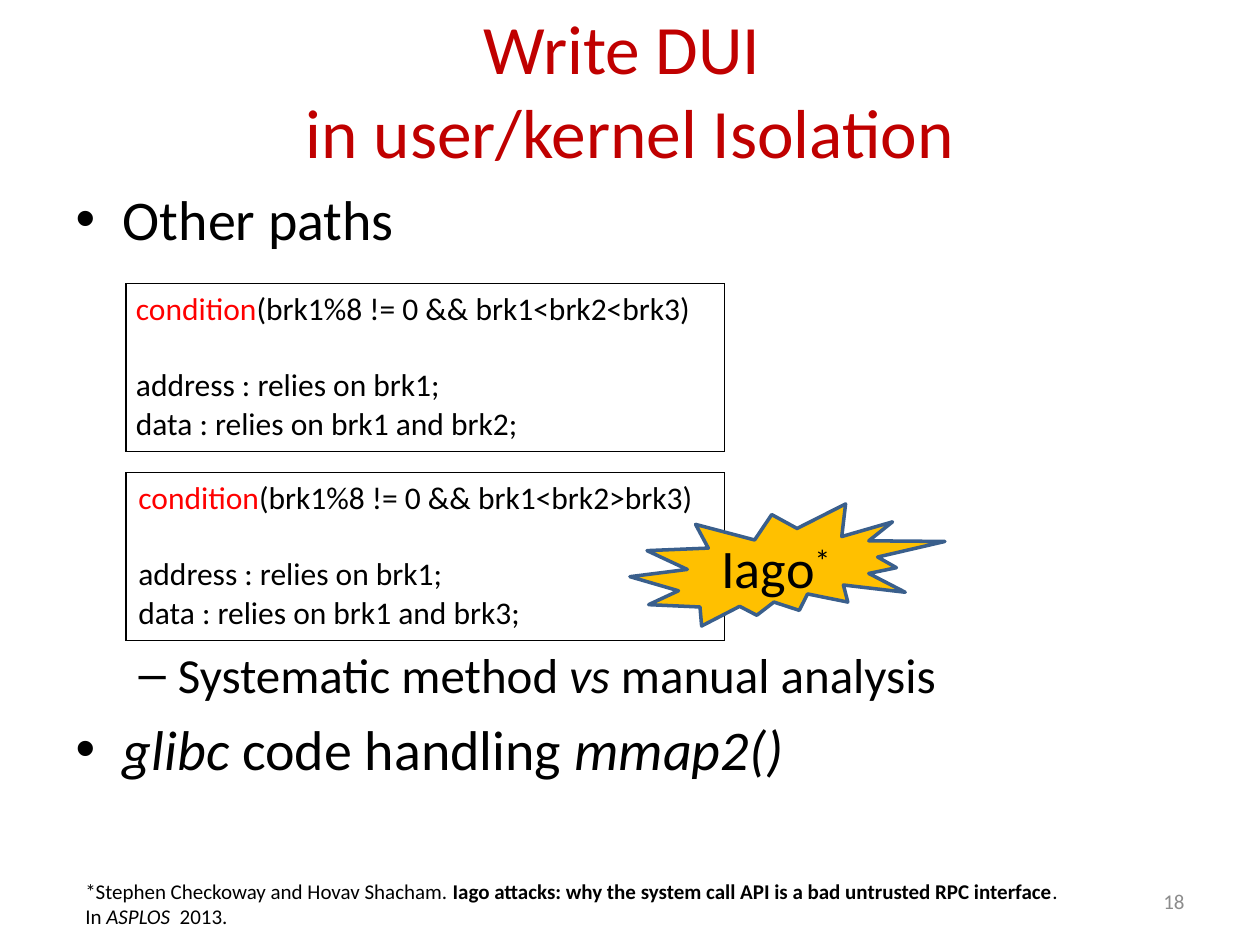
from lxml.etree import SubElement
from pptx import Presentation
from pptx.dml.color import RGBColor
from pptx.enum.shapes import MSO_SHAPE
from pptx.enum.text import MSO_ANCHOR, MSO_AUTO_SIZE, PP_ALIGN
from pptx.oxml import parse_xml
from pptx.oxml.ns import nsdecls
from pptx.util import Cm, Pt


def color(value):
    return RGBColor.from_string(value)


def write(p, runs, size, fill="000000"):
    p.font.size = Pt(size)
    p.font.name = "Calibri"
    p.font.color.rgb = color(fill)
    for text, style in runs:
        r = p.add_run()
        r.text = text
        if style == "italic":
            r.font.italic = True
        elif style == "bold":
            r.font.bold = True
        elif style == "super":
            r._r.get_or_add_rPr().set("baseline", "30000")
        elif style:
            r.font.color.rgb = color(style)


prs = Presentation()
prs.slide_width, prs.slide_height = Cm(25.4), Cm(19.05)
s = prs.slides.add_slide(prs.slide_layouts[1])

title = s.shapes.title
title.left, title.top, title.width, title.height = Cm(1.27), Cm(0.2), Cm(22.86), Cm(3.18)
title.text_frame.text = "Write DUI \vin user/kernel Isolation"
title.text_frame.auto_size = MSO_AUTO_SIZE.NONE
title.text_frame.vertical_anchor = MSO_ANCHOR.MIDDLE
p = title.text_frame.paragraphs[0]
p.alignment = PP_ALIGN.CENTER
write(p, [], 39.6, "C00000")

body = s.placeholders[1]
body.left, body.top, body.width, body.height = Cm(1.27), Cm(3.6), Cm(22.86), Cm(13.34)
tf = body.text_frame
tf.auto_size = MSO_AUTO_SIZE.NONE
bullets = [
    (0, 32, [("Other paths", None)]),
    (1, 28, [("Systematic method ", None), ("vs ", "italic"), ("manual analysis", None)]),
    (0, 32, [("glibc", "italic"), (" code handling ", None), ("mmap2()", "italic")]),
]
for i, (level, size, runs) in enumerate(bullets):
    p = tf.paragraphs[0] if i == 0 else tf.add_paragraph()
    p.level = level
    write(p, runs, size)
tf.paragraphs[1].space_before = Pt(224)

tables = [
    (5.72, 0.2, "(brk1%8 != 0 && brk1<brk2<brk3)", "brk2"),
    (9.53, 0.25, "(brk1%8 != 0 && brk1<brk2>brk3)", "brk3"),
]
for top, inset, condition, source in tables:
    table = s.shapes.add_table(1, 1, Cm(2.54), Cm(top), Cm(12.07), Cm(3.38)).table
    table.first_row = table.horz_banding = False
    cell = table.cell(0, 0)
    cell.margin_left = Cm(inset)
    cell.margin_right = Cm(0)
    tcPr = cell._tc.get_or_add_tcPr()
    for side in "LRTB":
        tcPr.append(parse_xml(
            f'<a:ln{side} {nsdecls("a")} w="12700"><a:solidFill>'
            f'<a:srgbClr val="000000"/></a:solidFill></a:ln{side}>'))
    cell.fill.background()
    tf = cell.text_frame
    lines = [
        [("condition", "FF0000"), (condition, None)],
        [("address : relies on brk1;", None)],
        [(f"data : relies on brk1 and {source};", None)],
    ]
    for i, runs in enumerate(lines):
        p = tf.paragraphs[0] if i == 0 else tf.add_paragraph()
        write(p, runs, 18)
    tf.paragraphs[1].space_before = Pt(22)

seal = s.shapes.add_shape(MSO_SHAPE.EXPLOSION2, Cm(12.7), Cm(10.16), Cm(6.35), Cm(2.46))
seal.shadow.inherit = False
seal.fill.solid()
seal.fill.fore_color.rgb = color("FFC000")
seal.line.color.rgb = color("3A5F8C")
seal.line.width = Pt(2)
tf = seal.text_frame
tf.margin_left = tf.margin_right = Cm(0)
tf.margin_top = tf.margin_bottom = Cm(0.1)
tf.vertical_anchor = MSO_ANCHOR.MIDDLE
p = tf.paragraphs[0]
p.alignment = PP_ALIGN.CENTER
write(p, [("Iago", None), ("*", "super")], 31)

number = s.shapes.add_textbox(Cm(18.2), Cm(17.66), Cm(5.93), Cm(1.01))
tf = number.text_frame
tf.word_wrap = True
tf.vertical_anchor = MSO_ANCHOR.MIDDLE
p = tf.paragraphs[0]
p.alignment = PP_ALIGN.RIGHT
write(p, [("18", None)], 12, "8C8C8C")

footnote = s.shapes.add_textbox(Cm(1.47), Cm(17.58), Cm(20.52), Cm(1.28))
tf = footnote.text_frame
tf.word_wrap = True
write(tf.paragraphs[0], [
    ("*Stephen Checkoway and Hovav Shacham. ", None),
    ("Iago attacks: why the system call API is a bad untrusted RPC interface", "bold"),
    (". ", None),
], 12)
write(tf.add_paragraph(), [("In\u00a0", None), ("ASPLOS", "italic"), ("  2013.", None)], 12)

prs.save("out.pptx")
